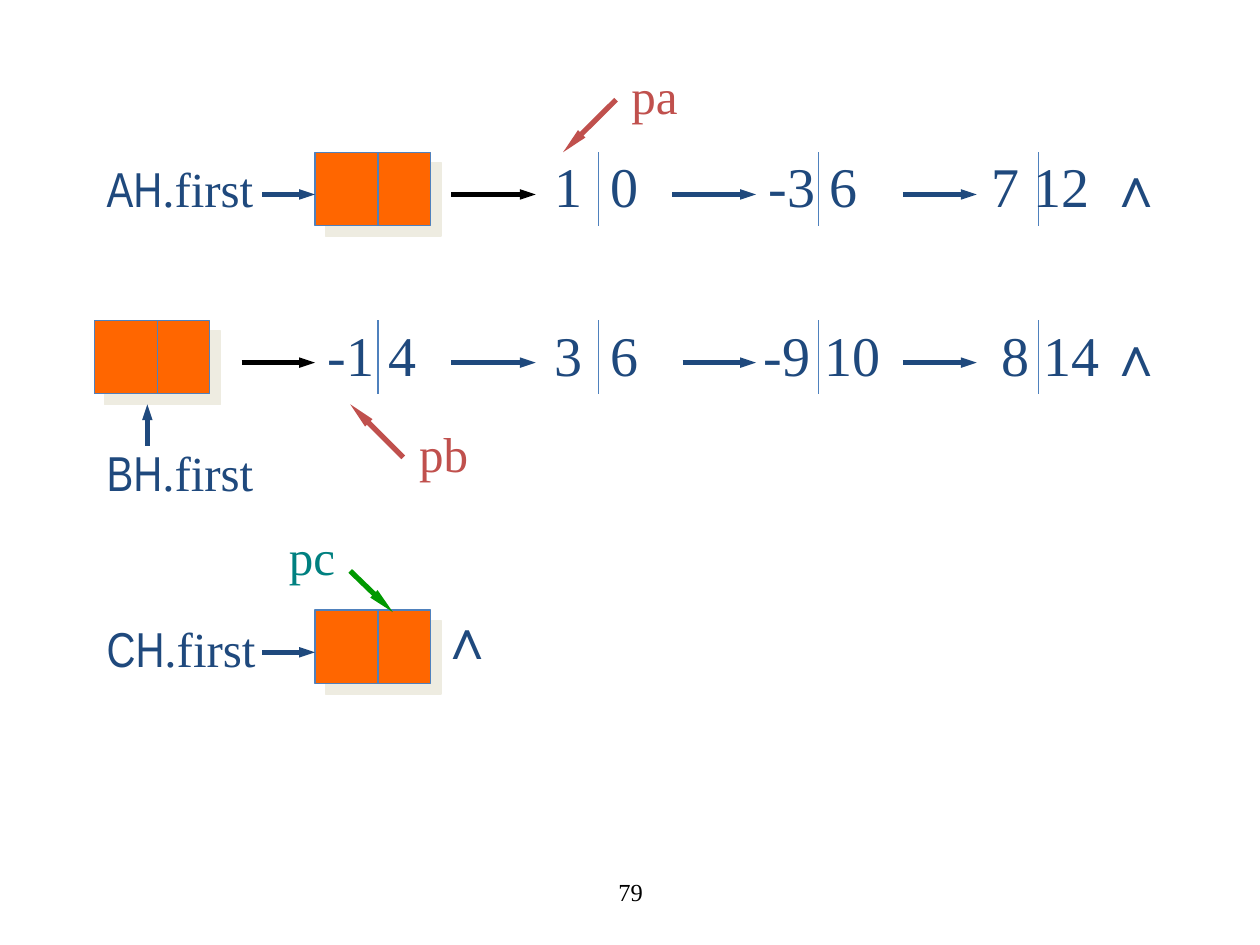
from dataclasses import dataclass
from typing import NamedTuple

from lxml.etree import SubElement
from pptx import Presentation
from pptx.dml.color import RGBColor
from pptx.enum.shapes import MSO_CONNECTOR, MSO_SHAPE
from pptx.enum.text import MSO_ANCHOR, MSO_AUTO_SIZE, PP_ALIGN
from pptx.oxml.ns import qn
from pptx.util import Cm, Pt


@dataclass(frozen=True)
class Theme:
    ink: RGBColor = RGBColor(0x1F, 0x49, 0x7D)
    edge: RGBColor = RGBColor(0x4F, 0x81, 0xBD)
    node: RGBColor = RGBColor(0xFF, 0x66, 0x00)
    red: RGBColor = RGBColor(0xC0, 0x50, 0x4D)
    green: RGBColor = RGBColor(0x00, 0x99, 0x00)
    teal: RGBColor = RGBColor(0x00, 0x80, 0x80)
    black: RGBColor = RGBColor(0x00, 0x00, 0x00)
    shadow: str = "EEECE1"
    serif: str = "Times New Roman"
    narrow: str = "Arial Narrow"
    value_size: float = 32
    label_size: float = 28
    number_size: float = 14
    thin: float = 0.75
    thick: float = 3


T = Theme()
NODE_W, NODE_H, NODE_SPLIT = 2.33, 1.48, 1.27
ARROW_DROP, VALUE_RISE = 0.85, 0.13
ROW_A, ROW_B, ROW_C = 3.07, 6.46, 12.3
FIRST_SPLIT, SPLIT_STEP = 7.62, 4.44
TAB_STOP = 1.13


class Box(NamedTuple):
    x: float
    y: float
    w: float
    h: float


class Run(NamedTuple):
    text: str
    size: float
    color: RGBColor
    font: str = T.serif


class Link(NamedTuple):
    x1: float
    x2: float
    color: RGBColor = T.ink


class Value(NamedTuple):
    text: str
    x: float
    w: float


class Chain(NamedTuple):
    y: float
    node_x: float
    splits: range
    links: list[Link]
    values: list[Value]


class Caption(NamedTuple):
    name: str
    y: float


class Pointer(NamedTuple):
    text: str
    box: Box
    text_color: RGBColor
    start: tuple[float, float]
    end: tuple[float, float]
    color: RGBColor


CHAINS = [
    Chain(ROW_A, 6.35, range(1, 4),
          [Link(5.29, 6.35), Link(9.1, 10.8, T.black), Link(13.55, 15.24), Link(18.2, 19.69)],
          [Value("1\t0", 10.92, 2.21), Value("-3 6", 15.24, 2.29),
           Value("7 12", 19.74, 2.49), Value("∧", 22.1, 1.19)]),
    Chain(ROW_B, 1.9, range(4),
          [Link(4.87, 6.35, T.black), Link(9.1, 10.8), Link(13.76, 15.24), Link(18.2, 19.69)],
          [Value("-1 4", 6.35, 2.29), Value("3\t6", 10.92, 2.21), Value("-9 10", 15.14, 2.87),
           Value("8 14", 19.94, 2.49), Value("∧", 22.1, 1.19)]),
    Chain(ROW_C, 6.35, range(0), [Link(5.29, 6.35)], [Value("∧", 8.61, 1.19)]),
]
CAPTIONS = [Caption("AH", 3.07), Caption("BH", 8.79), Caption("CH", 12.34)]
POINTERS = [
    Pointer("pa", Box(12.42, 1.19, 1.55, 1.45), T.red, (12.42, 2.01), (11.35, 3.07), T.red),
    Pointer("pb", Box(8.13, 8.41, 1.63, 1.45), T.red, (8.13, 9.22), (7.06, 8.15), T.red),
    Pointer("pc", Box(5.54, 10.49, 1.5, 1.45), T.teal, (7.06, 11.51), (7.92, 12.34), T.green),
]


def add_line(s, start: tuple[float, float], end: tuple[float, float],
             color: RGBColor, width: float, head: str = "") -> None:
    c = s.shapes.add_connector(MSO_CONNECTOR.STRAIGHT, *map(Cm, start + end))
    c.line.color.rgb = color
    c.line.width = Pt(width)
    if head:
        SubElement(c.line._get_or_add_ln(), qn("a:tailEnd"), type="triangle", w="sm", len=head)
    SubElement(c._element.spPr, qn("a:effectLst"))


def add_text(s, box: Box, runs: list[Run], centered: bool = False, grow: bool = True) -> None:
    tf = s.shapes.add_textbox(*map(Cm, box)).text_frame
    tf.word_wrap = not grow
    tf.auto_size = MSO_AUTO_SIZE.SHAPE_TO_FIT_TEXT if grow else MSO_AUTO_SIZE.NONE
    tf.vertical_anchor = MSO_ANCHOR.MIDDLE if centered else MSO_ANCHOR.TOP
    p = tf.paragraphs[0]
    p.alignment = PP_ALIGN.CENTER if centered else PP_ALIGN.LEFT
    if any("\t" in run.text for run in runs):
        tabs = SubElement(p._p.get_or_add_pPr(), qn("a:tabLst"))
        SubElement(tabs, qn("a:tab"), pos=str(Cm(TAB_STOP)), algn="l")
    for run in runs:
        r = p.add_run()
        r.text = run.text
        r.font.size = Pt(run.size)
        r.font.name = run.font
        r.font.color.rgb = run.color


def add_split(s, x: float, y: float) -> None:
    add_line(s, (x, y), (x, y + NODE_H), T.edge, T.thin)


def add_node(s, x: float, y: float) -> None:
    sp = s.shapes.add_shape(MSO_SHAPE.RECTANGLE, Cm(x), Cm(y), Cm(NODE_W), Cm(NODE_H))
    sp.fill.solid()
    sp.fill.fore_color.rgb = T.node
    sp.line.color.rgb = T.edge
    sp.line.width = Pt(T.thin)
    sp.shadow.inherit = False
    effects = sp._element.spPr.find(qn("a:effectLst"))
    shadow = SubElement(effects, qn("a:outerShdw"), dist=str(Pt(8.5)), dir="2700000",
                        algn="ctr", rotWithShape="0")
    SubElement(shadow, qn("a:srgbClr"), val=T.shadow)
    add_split(s, x + NODE_SPLIT, y)


def add_chain(s, chain: Chain) -> None:
    add_node(s, chain.node_x, chain.y)
    for i in chain.splits:
        add_split(s, FIRST_SPLIT + SPLIT_STEP * i, chain.y)
    y = chain.y + ARROW_DROP
    for link in chain.links:
        add_line(s, (link.x1, y), (link.x2, y), link.color, T.thick, "med")
    rise = VALUE_RISE if chain.splits else 2 * VALUE_RISE
    for value in chain.values:
        add_text(s, Box(value.x, chain.y - rise, value.w, 1.6),
                 [Run(value.text, T.value_size, T.ink)])


def main() -> None:
    prs = Presentation()
    prs.slide_width, prs.slide_height = Cm(25.4), Cm(19.05)
    s = prs.slides.add_slide(prs.slide_layouts[6])
    for chain in CHAINS:
        add_chain(s, chain)
    for caption in CAPTIONS:
        add_text(s, Box(1.9, caption.y, 3.53, 1.45),
                 [Run(caption.name, T.label_size, T.ink, T.narrow),
                  Run(".first", T.label_size, T.ink)])
    add_line(s, (2.97, 8.99), (2.97, 8.15), T.ink, T.thick, "med")
    for ptr in POINTERS:
        add_line(s, ptr.start, ptr.end, ptr.color, T.thick, "lg")
        add_text(s, ptr.box, [Run(ptr.text, T.label_size, ptr.text_color)], centered=True)
    add_text(s, Box(8.69, 17.35, 8.05, 1.27), [Run("79", T.number_size, T.black)],
             centered=True, grow=False)
    prs.save("out.pptx")


if __name__ == "__main__":
    main()
